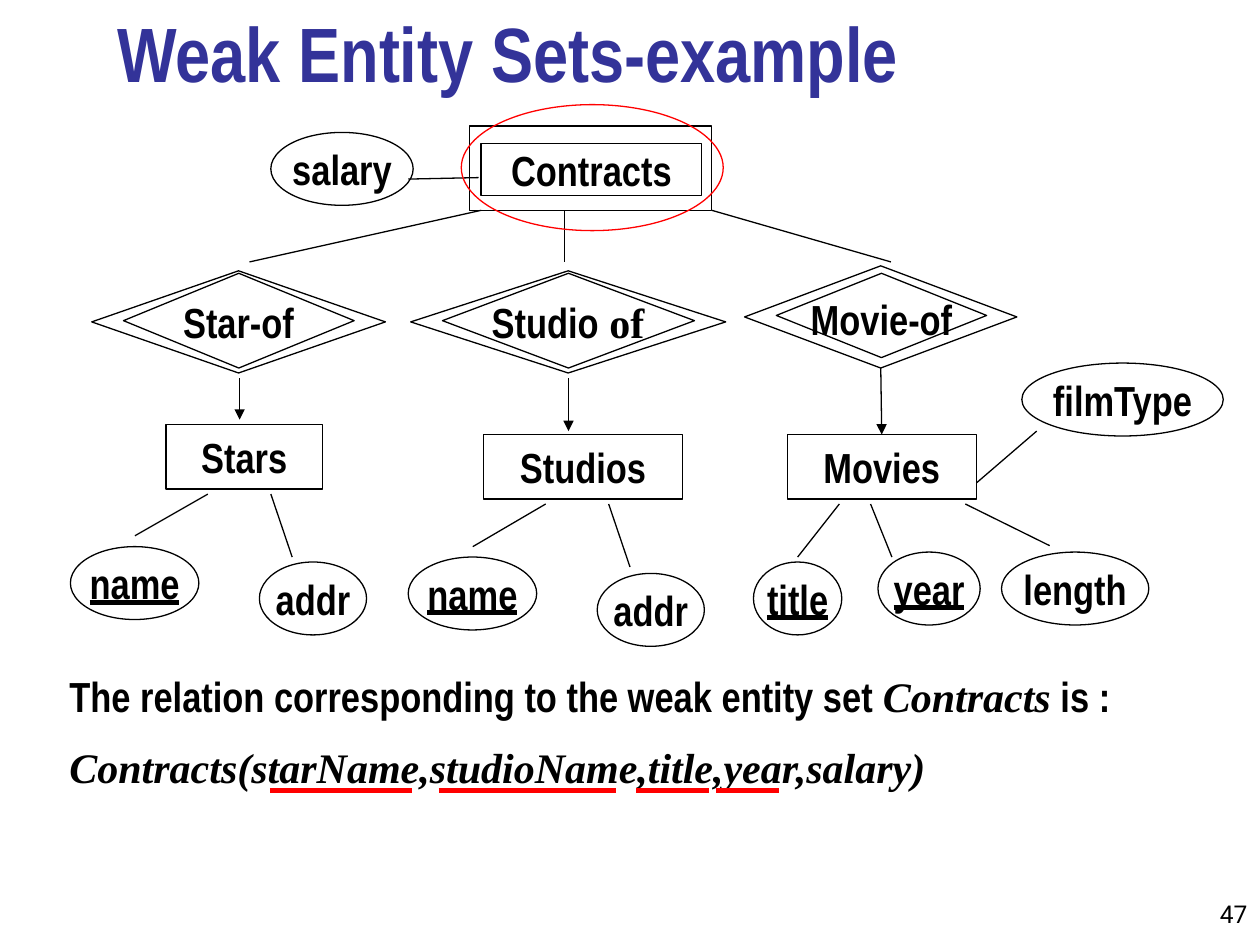
"""Build the slide with the weak entity set diagram and its relation."""
import pptx
import pptx.dml.color
import pptx.enum.shapes
import pptx.enum.text
import pptx.oxml.ns
import pptx.oxml.xmlchemy
import pptx.util

Cm = pptx.util.Cm
Kind = pptx.enum.shapes.MSO_SHAPE
Anchor = pptx.enum.text.MSO_ANCHOR
Align = pptx.enum.text.PP_ALIGN

SANS, SERIF, PLAIN = "Arial Narrow", "Times New Roman", "Roboto"
BLACK, RED, BLUE = "000000", "FF0000", "333399"
OVAL_HEIGHT = 1.47
UNDERLINE_TOP = 15.93

TITLE = "Weak Entity Sets-example"
NUMBER = "47"
RELATION = [
    [("The relation corresponding to the weak entity set ", {}),
     ("Contracts", {"font": SERIF, "italic": True}), (" is :", {})],
    [("Contracts(starName,studioName,title,year,salary)", {"font": SERIF, "italic": True})],
]
ENTITIES = {
    "Stars": (3.35, 8.56, 3.15, 1.3),
    "Studios": (9.75, 8.76, 4.01, 1.3),
    "Movies": (15.87, 8.76, 3.81, 1.3),
    "Contracts": (9.7, 2.9, 4.45, 1.04),
}
WEAK_FRAME = (9.47, 2.54, 4.88, 1.7)
HIGHLIGHT = (9.3, 2.11, 5.28, 2.54)
RELATIONSHIPS = {
    "Star-of": ((1.85, 5.46, 5.92, 2.06), (2.49, 5.51, 4.65, 1.91)),
    "Studio of": ((8.28, 5.46, 6.35, 2.06), (8.92, 5.51, 5.08, 1.91)),
    "Movie-of": ((15.01, 5.36, 5.49, 2.06), (15.65, 5.51, 4.24, 1.7)),
}
LABELS = [
    ([("Studio", {}), (" of", {"font": SERIF})], (9.75, 6.17, 3.4, 0.81), 0.8),
    ([("Movie-of", {})], (16.08, 5.92, 3.38, 1.02), None),
]
ATTRIBUTES = [
    ("salary", 5.46, 2.67, 2.87, False),
    ("name", 1.42, 11.02, 2.59, True),
    ("addr", 5.23, 11.33, 2.16, False),
    ("name", 8.23, 11.23, 2.59, True),
    ("addr", 12.04, 11.56, 2.16, False),
    ("title", 15.19, 11.33, 1.78, True),
    ("year", 17.7, 11.13, 2.06, True),
    ("length", 20.19, 11.13, 2.97, False),
    ("filmType", 20.6, 7.32, 4.06, False),
]
LINKS = [
    (9.7, 4.24, 5.03, 5.28), (9.65, 3.58, 8.23, 3.61),
    (11.38, 4.24, 11.38, 5.28), (14.35, 4.24, 17.96, 5.28),
    (4.19, 9.96, 2.72, 10.8), (5.46, 9.96, 5.89, 11.23),
    (11, 10.16, 9.53, 11.02), (12.27, 10.16, 12.7, 11.43),
    (16.92, 10.16, 16.08, 11.23), (17.55, 10.16, 17.98, 11.23),
    (19.46, 10.16, 21.16, 11), (19.69, 9.73, 20.9, 8.69),
]
ARROWS = [(4.83, 7.62, 4.83, 8.46), (11.46, 7.62, 11.46, 8.69)]
KEY_UNDERLINES = [(5.44, 8.31), (8.84, 12.42), (12.83, 14.3), (14.43, 15.7)]


def color(value):
    return pptx.dml.color.RGBColor.from_string(value)


def write(shape, paragraphs, *, size=24, font=SANS, fill=BLACK, bold=True, underline=False,
          align=Align.CENTER, anchor=Anchor.MIDDLE, wrap=True, inset=(0, 0),
          spacing=None, gap=0):
    frame = shape.text_frame
    frame.word_wrap, frame.vertical_anchor = wrap, anchor
    frame.margin_left = frame.margin_right = Cm(inset[0])
    frame.margin_top = frame.margin_bottom = Cm(inset[1])
    for index, spans in enumerate(paragraphs):
        para = frame.add_paragraph() if index else frame.paragraphs[0]
        para.alignment, para.line_spacing = align, spacing
        para.space_before = pptx.util.Pt(gap if index else 0)
        for text, style in spans:
            span = para.add_run()
            span.text = text
            span.font.name = style.get("font", font)
            span.font.italic = style.get("italic", False)
            span.font.size = pptx.util.Pt(size)
            span.font.bold, span.font.underline = bold, underline
            span.font.color.rgb = color(fill)


def add_box(page, place):
    return page.shapes.add_textbox(*map(Cm, place))


def add_outline(page, kind, place, line=BLACK):
    shape = page.shapes.add_shape(kind, *map(Cm, place))
    shape.shadow.inherit = False
    shape.fill.background()
    shape.line.color.rgb = color(line)
    shape.line.width = pptx.util.Pt(0.75)
    return shape


def add_line(page, ends, line=BLACK, width=0.75, arrow=False):
    straight = pptx.enum.shapes.MSO_CONNECTOR.STRAIGHT
    connector = page.shapes.add_connector(straight, *map(Cm, ends))
    connector.line.color.rgb = color(line)
    connector.line.width = pptx.util.Pt(width)
    properties = connector._element.find(pptx.oxml.ns.qn("p:spPr"))
    if arrow:
        tail = pptx.oxml.xmlchemy.OxmlElement("a:tailEnd")
        tail.set("type", "triangle")
        properties.find(pptx.oxml.ns.qn("a:ln")).append(tail)
    properties.append(pptx.oxml.xmlchemy.OxmlElement("a:effectLst"))
    return connector


def main():
    deck = pptx.Presentation()
    deck.slide_width, deck.slide_height = Cm(25.4), Cm(19.05)
    page = deck.slides.add_slide(deck.slide_layouts[6])

    write(add_box(page, (23.7, 17.58, 1.7, 1.27)), [[(NUMBER, {})]], size=14, font=PLAIN,
          bold=False, align=Align.RIGHT, anchor=Anchor.BOTTOM, inset=(0.25, 0.13))
    write(add_box(page, (2.11, 0.2, 21.64, 1.91)), [[(TITLE, {})]], size=44, fill=BLUE,
          align=Align.LEFT, anchor=Anchor.BOTTOM, inset=(0.25, 0.13))

    entities = {}
    for name, place in ENTITIES.items():
        entities[name] = add_outline(page, Kind.RECTANGLE, place)
        write(entities[name], [[(name, {})]])
    add_outline(page, Kind.RECTANGLE, WEAK_FRAME)

    diamonds = {}
    for name, (outer, inner) in RELATIONSHIPS.items():
        diamonds[name] = add_outline(page, Kind.DIAMOND, outer)
        add_outline(page, Kind.DIAMOND, inner)
    write(diamonds["Star-of"], [[("Star-of", {})]])
    for spans, place, spacing in LABELS:
        write(add_box(page, place), [spans], anchor=Anchor.TOP, spacing=spacing)

    for name, left, top, width, key in ATTRIBUTES:
        oval = add_outline(page, Kind.OVAL, (left, top, width, OVAL_HEIGHT))
        write(oval, [[(name, {})]], underline=key, wrap=False)

    for ends in LINKS:
        add_line(page, ends)
    for ends in ARROWS:
        add_line(page, ends, arrow=True)
    movie_arrow = add_line(page, (17.78, 7.42, 17.78, 8.76), arrow=True)
    movie_arrow.begin_connect(diamonds["Movie-of"], 2)
    movie_arrow.end_connect(entities["Movies"], 0)

    write(add_box(page, (1.4, 13.51, 23.7, 2.54)), RELATION, align=Align.LEFT,
          anchor=Anchor.TOP, gap=12)
    for start, end in KEY_UNDERLINES:
        add_line(page, (start, UNDERLINE_TOP, end, UNDERLINE_TOP), line=RED, width=3)
    add_outline(page, Kind.OVAL, HIGHLIGHT, line=RED)

    deck.save("out.pptx")


if __name__ == "__main__":
    main()
